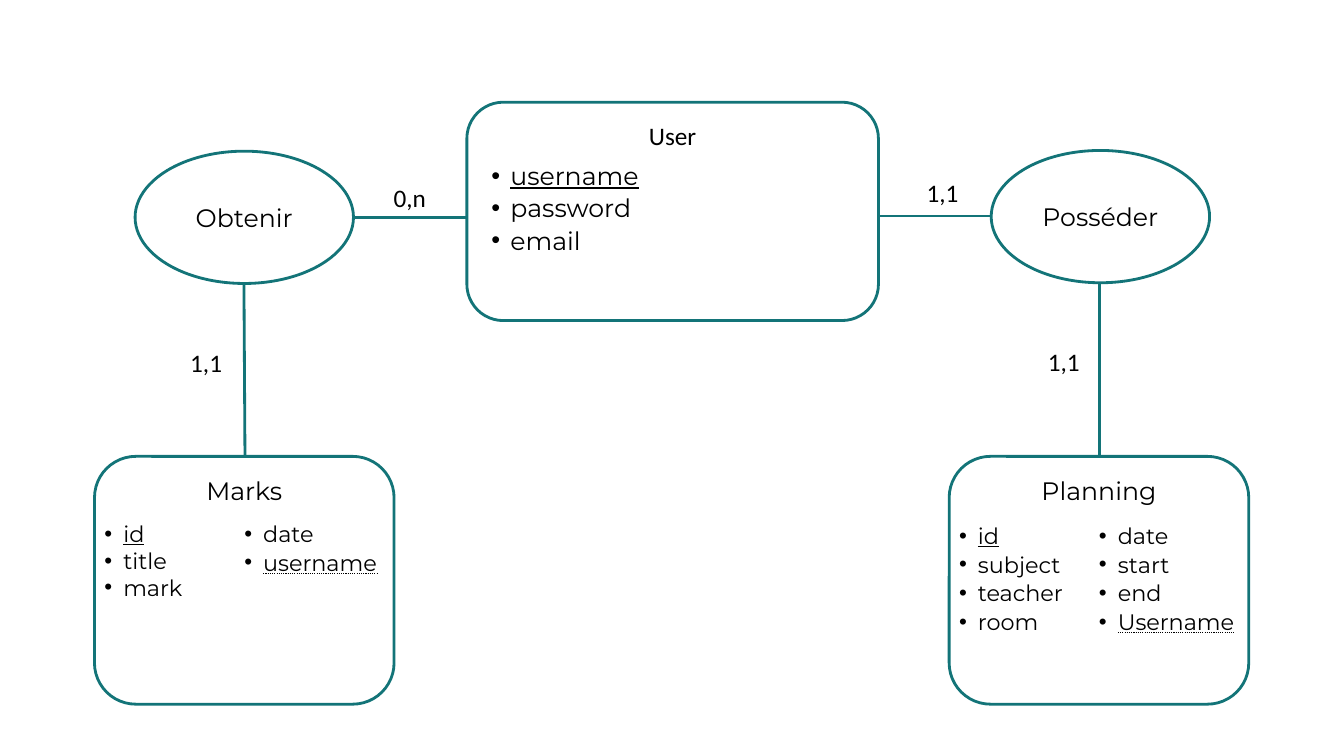
from pptx import Presentation, util as u
from pptx.dml.color import RGBColor
from pptx.enum import shapes, text
from pptx.oxml.ns import qn
from lxml import etree

Pt = u.Pt
TEAL, WHITE, BLACK = "137478", "FFFFFF", "000000"
SANS, LABEL = "Montserrat", "Calibri"
KEY, REF = True, text.MSO_UNDERLINE.DOTTED_LINE
TOP, MIDDLE = text.MSO_ANCHOR.TOP, text.MSO_ANCHOR.MIDDLE

RELATIONS = [
    ("Obtenir", (96.5, 108, 156, 94.5)),
    ("Posséder", (708, 107.5, 156, 94.5)),
]
LINKS = [
    (627, 154.25, 708, 154.25),
    (785.5, 326, 785.5, 203),
    (174.25, 203, 175, 326),
    (252, 155.5, 333.5, 155.5),
]
CARDINALITIES = [
    ("0,n", 266, 126.5),
    ("1,1", 120.5, 244.5),
    ("1,1", 733, 244),
    ("1,1", 646.5, 123),
]
ENTITIES = [
    {"name": "Planning", "font": SANS, "box": (678, 326, 214, 177),
     "list": (678, 368, 214, 85), "size": 16, "spaced": 0,
     "fields": [("id", KEY), "subject", "teacher", "room",
                "date", "start", "end", ("Username", REF)]},
    {"name": "Marks", "font": SANS, "box": (67.5, 326, 214, 177),
     "list": (67.5, 368, 214, 57), "size": 16, "spaced": 4,
     "fields": [("id", KEY), "title", "mark", "date", ("username", REF)]},
    {"name": "User", "font": LABEL, "box": (333.5, 73, 294, 156),
     "list": (344, 109.5, 294, 86), "size": 18, "spaced": 0,
     "fields": [("username", KEY), "password", "email"]},
]


def rgb(color):
    return RGBColor.from_string(color)


def set_all(obj, values):
    for name, value in values.items():
        setattr(obj, name, value)


def outline(sp):
    sp.line.color.rgb = rgb(TEAL)
    sp.line.width = Pt(2)


def write(p, words, size, font, underline=None, **fmt):
    set_all(p, fmt)
    r = p.add_run()
    r.text = words
    set_all(r.font, {"size": Pt(size), "name": font, "underline": underline})
    r.font.color.rgb = rgb(BLACK)


def add_box(s, kind, box, words, font, anchor, **fmt):
    sp = s.shapes.add_shape(kind, *map(Pt, box))
    sp.shadow.inherit = False
    sp.fill.solid()
    sp.fill.fore_color.rgb = rgb(WHITE)
    outline(sp)
    sp.text_frame.vertical_anchor = anchor
    write(sp.text_frame.paragraphs[0], words, 18, font,
          alignment=text.PP_ALIGN.CENTER, **fmt)


def add_text(s, box):
    tf = s.shapes.add_textbox(*map(Pt, box)).text_frame
    set_all(tf, {"word_wrap": True,
                 "auto_size": text.MSO_AUTO_SIZE.SHAPE_TO_FIT_TEXT})
    return tf


def add_bullet(p):
    pPr = p._p.get_or_add_pPr()
    pPr.set("marL", str(Pt(13.5)))
    pPr.set("indent", str(-Pt(13.5)))
    etree.SubElement(pPr, qn("a:buFont")).set("typeface", "Arial")
    etree.SubElement(pPr, qn("a:buChar")).set("char", "•")


def add_fields(s, entity):
    tf = add_text(s, entity["list"])
    tf._txBody.bodyPr.set("numCol", "2")
    for i, field in enumerate(entity["fields"]):
        words, underline = (field, None) if isinstance(field, str) else field
        p = tf.paragraphs[0] if i == 0 else tf.add_paragraph()
        fmt = {"line_spacing": 1.07} if i >= entity["spaced"] else {}
        write(p, words, entity["size"], SANS, underline, **fmt)
        add_bullet(p)
    if entity["name"] == "User":
        p.space_after = Pt(8)


prs = Presentation()
set_all(prs, {"slide_width": Pt(960), "slide_height": Pt(540)})
s = prs.slides.add_slide(prs.slide_layouts[6])

for name, box in RELATIONS:
    add_box(s, shapes.MSO_SHAPE.OVAL, box, name, SANS, MIDDLE)

for words, x, y in CARDINALITIES:
    tf = add_text(s, (x, y, 53.5, 29))
    write(tf.paragraphs[0], words, 18, LABEL, alignment=text.PP_ALIGN.CENTER)

for entity in ENTITIES:
    add_box(s, shapes.MSO_SHAPE.ROUNDED_RECTANGLE, entity["box"],
            entity["name"], entity["font"], TOP,
            line_spacing=1.07, space_after=Pt(8))
    add_fields(s, entity)

for ends in LINKS:
    line = s.shapes.add_connector(shapes.MSO_CONNECTOR.STRAIGHT, *map(Pt, ends))
    outline(line)
    etree.SubElement(line._element.spPr, qn("a:effectLst"))

prs.save("out.pptx")
